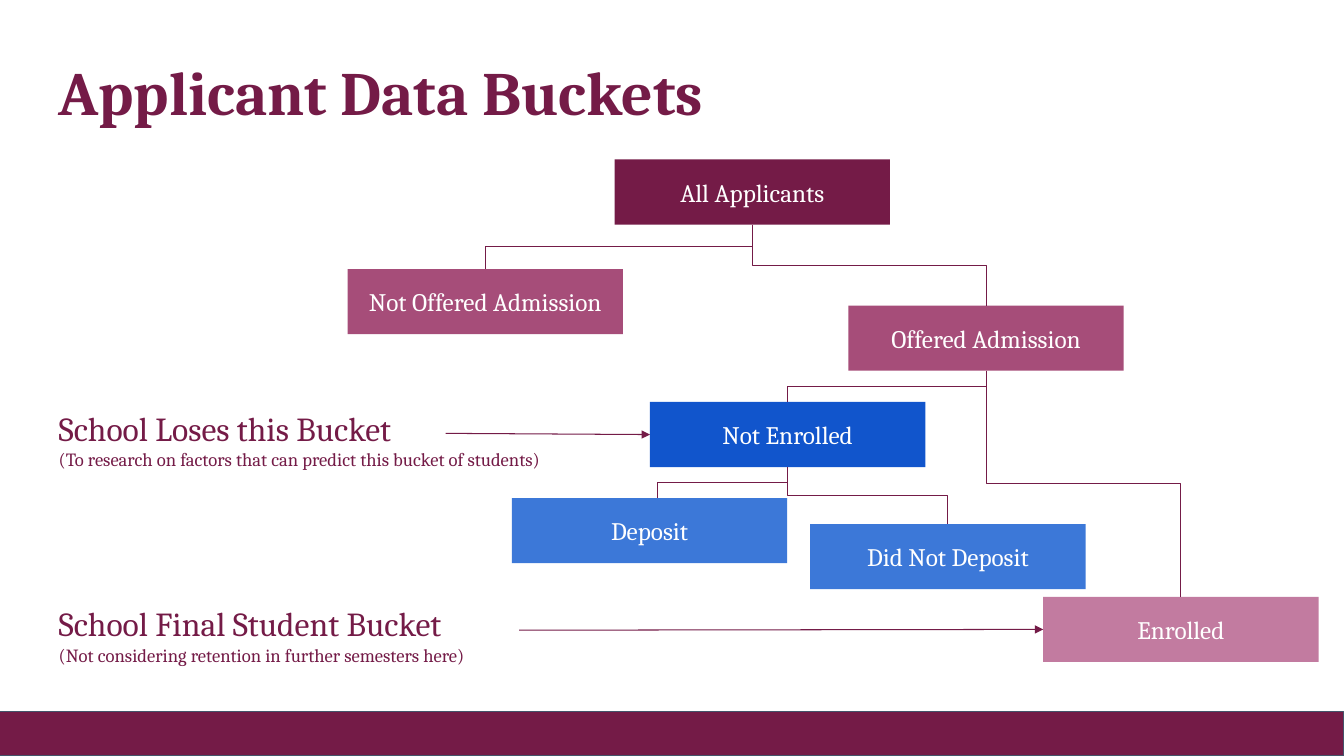
from pptx import Presentation
from pptx.dml.color import RGBColor
from pptx.enum.shapes import MSO_CONNECTOR as Link, MSO_SHAPE as Shape
from pptx.enum.text import MSO_ANCHOR as Anchor, MSO_AUTO_SIZE as Fit, PP_ALIGN as Align
from pptx.oxml.ns import qn
from pptx.util import Cm, Pt
from lxml.etree import SubElement

HUES = {"wine": "741B47", "plum": "A64D79", "rose": "C27BA0", "blue": "1155CC",
        "sky": "3C78D8", "slate": "44546A", "white": "FFFFFF"}
FRAME = {"word_wrap": True, "auto_size": Fit.NONE, "margin_left": Cm(0.34),
         "margin_right": Cm(0.34), "margin_top": Cm(0.34), "margin_bottom": Cm(0.34)}
BOX_W, BOX_H = 6.94, 1.64

# name: left, top, hue
BOXES = {
    "All Applicants": (15.49, 4.02, "wine"),
    "Not Offered Admission": (8.76, 6.78, "plum"),
    "Offered Admission": (21.38, 7.7, "plum"),
    "Enrolled": (26.29, 15.04, "rose"),
    "Not Enrolled": (16.38, 10.13, "blue"),
    "Did Not Deposit": (20.42, 13.21, "sky"),
    "Deposit": (12.9, 12.55, "sky"),
}
# parent, child, shift of the lower end
TREE = [
    ("All Applicants", "Not Offered Admission", 0),
    ("All Applicants", "Offered Admission", 0),
    ("Offered Admission", "Not Enrolled", 0),
    ("Offered Admission", "Enrolled", 0),
    ("Not Enrolled", "Did Not Deposit", 0),
    ("Not Enrolled", "Deposit", 0.21),
]
# head, detail, place, arrow start, target
NOTES = [
    ("School Loses this Bucket",
     "(To research on factors that can predict this bucket of students)",
     (1.14, 9.93, 14.33, 2.62), (11.23, 10.92), "Not Enrolled"),
    ("School Final Student Bucket",
     "(Not considering retention in further semesters here)",
     (1.14, 14.86, 14.91, 2.41), (13.08, 15.88), "Enrolled"),
]


def tint(name):
    return RGBColor.from_string(HUES[name])


def apply(item, form):
    for key, value in form.items():
        setattr(item, key, value)


def write(para, text, size, hue="wine", **form):
    para.text = text
    apply(para, form)
    apply(para.font, {"name": "Cambria", "size": Pt(size)} | ({"bold": True} if size > 40 else {}))
    para.font.color.rgb = tint(hue)


def set_title(slide, text):
    title = slide.shapes.title
    apply(title, {"left": Cm(1.14), "top": Cm(1.22), "width": Cm(31.55), "height": Cm(2.13)})
    apply(title.text_frame, FRAME | {"vertical_anchor": Anchor.TOP})
    write(title.text_frame.paragraphs[0], text, 44, alignment=Align.LEFT, line_spacing=0.9)


def add_rect(slide, place, hue):
    rect = slide.shapes.add_shape(Shape.RECTANGLE, *map(Cm, place))
    rect.shadow.inherit = False
    rect.fill.solid()
    rect.fill.fore_color.rgb = tint(hue)
    rect.line.fill.background()
    return rect


def add_band(slide):
    band = add_rect(slide, (0, 17.93, 33.87, 1.12), "wine")
    band.line.color.rgb = tint("slate")
    band.line.width = Pt(0.75)


def add_box(slide, text, left, top, hue):
    box = add_rect(slide, (left, top, BOX_W, BOX_H), hue)
    apply(box.text_frame, FRAME | {"vertical_anchor": Anchor.MIDDLE})
    write(box.text_frame.paragraphs[0], text, 18, "white", alignment=Align.CENTER)
    return box


def add_note(slide, head, detail, place):
    frame = slide.shapes.add_textbox(*map(Cm, place)).text_frame
    apply(frame, FRAME)
    write(frame.paragraphs[0], head, 24)
    write(frame.add_paragraph(), detail, 13.3)


def add_line(slide, kind, *ends):
    line = slide.shapes.add_connector(kind, *ends)
    line.line.color.rgb = tint("wine")
    line.line.width = Pt(0.75)
    SubElement(line._element.spPr, qn("a:effectLst"))
    return line


def add_arrow(slide, start, box):
    x, y = map(Cm, start)
    arrow = add_line(slide, Link.STRAIGHT, x, y, box.left, box.top + box.height // 2)
    arrow.end_connect(box, 1)
    SubElement(arrow.line._get_or_add_ln(), qn("a:tailEnd"), type="triangle")


def add_branch(slide, parent, child, shift):
    """Elbow from the parent's bottom to the child's top, turned to leave downwards."""
    x1, y1 = parent.left + parent.width // 2, parent.top + parent.height
    x2, y2 = child.left + child.width // 2 + Cm(shift), child.top
    branch = add_line(slide, Link.ELBOW, x1, y1, x2, y2)
    if not shift:
        branch.begin_connect(parent, 2)
        branch.end_connect(child, 0)
    wide, high = abs(x2 - x1), y2 - y1
    apply(branch, {"left": (x1 + x2 - high) // 2, "top": (y1 + y2 - wide) // 2,
                   "width": high, "height": wide})
    right = x2 > x1
    frame = branch._element.spPr.find(qn("a:xfrm"))
    frame.set("rot", "16200000" if right else "5400000")
    frame.set("flipH", "1" if right else "0")
    frame.set("flipV", "0")


def main():
    deck = Presentation()
    deck.slide_width, deck.slide_height = Cm(33.87), Cm(19.05)
    slide = deck.slides.add_slide(deck.slide_layouts[5])
    set_title(slide, "Applicant Data Buckets")
    add_band(slide)
    boxes = {name: add_box(slide, name, *spot) for name, spot in BOXES.items()}
    for parent, child, shift in TREE:
        add_branch(slide, boxes[parent], boxes[child], shift)
    for head, detail, place, start, target in NOTES:
        add_note(slide, head, detail, place)
        add_arrow(slide, start, boxes[target])
    deck.save("out.pptx")


if __name__ == "__main__":
    main()
